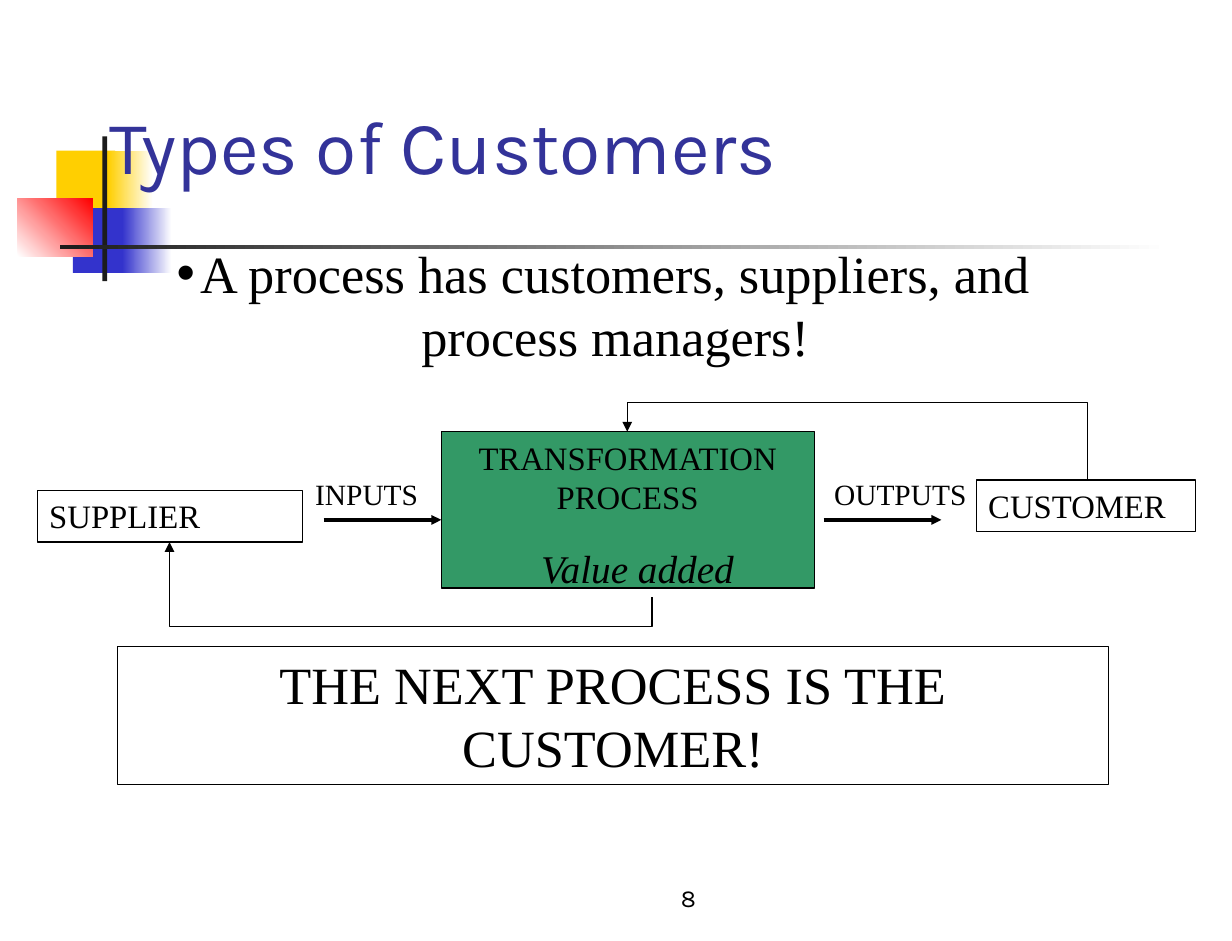
from dataclasses import dataclass

from lxml import etree
from pptx import Presentation
from pptx.dml.color import RGBColor
from pptx.enum.shapes import MSO_CONNECTOR, MSO_SHAPE
from pptx.enum.text import MSO_ANCHOR, MSO_AUTO_SIZE, PP_ALIGN
from pptx.oxml.ns import qn
from pptx.util import Pt

LEFT, CENTER = PP_ALIGN.LEFT, PP_ALIGN.CENTER
TOP, BOTTOM = MSO_ANCHOR.TOP, MSO_ANCHOR.BOTTOM
NO_AUTOFIT = MSO_AUTO_SIZE.NONE
RECTANGLE = MSO_SHAPE.RECTANGLE
STRAIGHT, ELBOW = MSO_CONNECTOR.STRAIGHT, MSO_CONNECTOR.ELBOW
EMU_PER_PX = 9144


@dataclass(frozen=True)
class Theme:
    black: str = "000000"
    white: str = "FFFFFF"
    ink: str = "1C1C1C"
    yellow: str = "FFCF01"
    blue: str = "3333CC"
    red: str = "FF0000"
    title: str = "333399"
    green: str = "339966"
    sans: str = "Karla"
    serif: str = "Times New Roman"
    title_size: int = 46
    statement_size: int = 32
    note_size: int = 24
    box_size: int = 20
    label_size: int = 18
    number_size: int = 15


THEME = Theme()


@dataclass(frozen=True)
class Area:
    left: int
    top: int
    width: int
    height: int

    def emu(self) -> list[int]:
        return [px(side) for side in (self.left, self.top, self.width, self.height)]


@dataclass(frozen=True)
class Ornament:
    area: Area
    start: str
    end: str | None = None
    angle: int = 0


@dataclass(frozen=True)
class ProcessBox:
    text: str
    area: Area
    size: int = THEME.box_size
    align: PP_ALIGN = LEFT
    fill: str | None = None
    line: float = 1


@dataclass(frozen=True)
class Label:
    text: str
    area: Area
    size: int = THEME.label_size
    font: str = THEME.serif
    align: PP_ALIGN = LEFT
    anchor: MSO_ANCHOR = TOP
    italic: bool = False


@dataclass(frozen=True)
class Feedback:
    start: tuple[int, int]
    end: tuple[int, int]
    turn: int


ORNAMENTS = [
    Ornament(Area(48, 128, 50, 55), THEME.yellow),
    Ornament(Area(92, 128, 38, 55), THEME.yellow, THEME.white),
    Ornament(Area(62, 177, 48, 55), THEME.blue),
    Ornament(Area(104, 177, 42, 55), THEME.blue, THEME.white),
    Ornament(Area(15, 169, 64, 49), THEME.white, THEME.red, 45),
    Ornament(Area(87, 116, 4, 123), THEME.ink),
    Ornament(Area(51, 208, 942, 4), THEME.ink, THEME.white),
]
BOXES = [
    ProcessBox("TRANSFORMATION\nPROCESS", Area(375, 367, 317, 133), align=CENTER, fill=THEME.green, line=0.75),
    ProcessBox("SUPPLIER", Area(32, 417, 225, 44)),
    ProcessBox("CUSTOMER", Area(830, 408, 186, 44)),
    ProcessBox("THE NEXT PROCESS IS THE CUSTOMER!", Area(100, 550, 842, 117), THEME.statement_size, CENTER, line=0.75),
]
LABELS = [
    Label("INPUTS", Area(258, 400, 138, 33)),
    Label("OUTPUTS", Area(699, 400, 142, 33)),
    Label("Value added", Area(450, 458, 208, 50), THEME.note_size, italic=True),
    Label("8", Area(419, 728, 332, 53), THEME.number_size, THEME.sans, CENTER, BOTTOM),
]
FLOW_STARTS = [275, 700]
FLOW_LENGTH, FLOW_Y = 100, 442
FEEDBACKS = [
    Feedback((554, 508), (144, 461), 533),
    Feedback((924, 408), (533, 367), 342),
]


def px(length: float) -> int:
    return round(length * EMU_PER_PX)


def color(value: str) -> RGBColor:
    return RGBColor.from_string(value)


def write_text(shape, text: str, *, size: int, font: str = THEME.serif, ink: str = THEME.black,
               align: PP_ALIGN = LEFT, anchor: MSO_ANCHOR = TOP, italic: bool = False,
               bullet: str | None = None, indent: int = 0) -> None:
    frame = shape.text_frame
    frame.text = text
    frame.word_wrap = True
    frame.auto_size = NO_AUTOFIT
    frame.vertical_anchor = anchor
    frame.margin_left = frame.margin_right = px(10)
    frame.margin_top = frame.margin_bottom = px(5)
    for para in frame.paragraphs:
        para.alignment = align
        para.space_before = Pt(0)
        if bullet:
            properties = para._p.get_or_add_pPr()
            properties.set("marL", str(px(indent)))
            properties.set("indent", str(-px(indent)))
            etree.SubElement(properties, qn("a:buChar"), char=bullet)
        for span in para.runs:
            span.font.name = font
            span.font.size = Pt(size)
            span.font.italic = italic
            span.font.color.rgb = color(ink)


def place(shape, area: Area) -> None:
    shape.left, shape.top, shape.width, shape.height = area.emu()


def draw_ornament(page, ornament: Ornament) -> None:
    shape = page.shapes.add_shape(RECTANGLE, *ornament.area.emu())
    shape.shadow.inherit = False
    shape.line.fill.background()
    if ornament.end is None:
        shape.fill.solid()
        shape.fill.fore_color.rgb = color(ornament.start)
        return
    shape.fill.gradient()
    shape.fill.gradient_angle = ornament.angle
    for stop, value in zip(shape.fill.gradient_stops, (ornament.start, ornament.end)):
        stop.color.rgb = color(value)


def draw_box(page, box: ProcessBox) -> None:
    shape = page.shapes.add_shape(RECTANGLE, *box.area.emu())
    shape.shadow.inherit = False
    if box.fill:
        shape.fill.solid()
        shape.fill.fore_color.rgb = color(box.fill)
    else:
        shape.fill.background()
    shape.line.color.rgb = color(THEME.black)
    shape.line.width = Pt(box.line)
    write_text(shape, box.text, size=box.size, align=box.align)


def draw_label(page, label: Label) -> None:
    shape = page.shapes.add_textbox(*label.area.emu())
    write_text(shape, label.text, size=label.size, font=label.font, align=label.align,
               anchor=label.anchor, italic=label.italic)


def draw_arrow(page, kind: MSO_CONNECTOR, start: tuple[float, float], end: tuple[float, float], width: float):
    arrow = page.shapes.add_connector(kind, *map(px, (*start, *end)))
    arrow.line.color.rgb = color(THEME.black)
    arrow.line.width = Pt(width)
    etree.SubElement(arrow.line._get_or_add_ln(), qn("a:tailEnd"), type="triangle")
    etree.SubElement(arrow._element.spPr, qn("a:effectLst"))
    return arrow


def draw_feedback(page, feedback: Feedback) -> None:
    (start_x, start_y), (end_x, end_y) = feedback.start, feedback.end
    center_x, center_y = (start_x + end_x) / 2, (start_y + end_y) / 2
    half_rise, half_run = (start_y - end_y) / 2, (start_x - end_x) / 2
    arrow = draw_arrow(page, ELBOW, (center_x - half_rise, center_y + half_run),
                       (center_x + half_rise, center_y - half_run), 0.75)
    properties = arrow._element.spPr
    properties.find(qn("a:xfrm")).set("rot", str(270 * 60000))
    bend = round((start_y - feedback.turn) / (start_y - end_y) * 100000)
    guides = properties.find(qn("a:prstGeom")).find(qn("a:avLst"))
    etree.SubElement(guides, qn("a:gd"), name="adj1", fmla=f"val {bend}")


def main() -> None:
    deck = Presentation()
    deck.slide_width, deck.slide_height = px(1047), px(800)
    page = deck.slides.add_slide(deck.slide_layouts[1])
    for ornament in ORNAMENTS:
        draw_ornament(page, ornament)

    title, body = page.placeholders
    place(title, Area(83, 33, 890, 133))
    write_text(title, "Types of Customers", size=THEME.title_size, font=THEME.sans, ink=THEME.title, anchor=BOTTOM)
    place(body, Area(92, 200, 842, 117))
    write_text(body, "A process has customers, suppliers, and process managers!",
               size=THEME.statement_size, align=CENTER, bullet="•", indent=20)
    for placeholder in (title, body):
        page.shapes._spTree.append(placeholder._element)

    for box in BOXES:
        draw_box(page, box)
    for start in FLOW_STARTS:
        draw_arrow(page, STRAIGHT, (start, FLOW_Y), (start + FLOW_LENGTH, FLOW_Y), 2)
    for label in LABELS:
        draw_label(page, label)
    for feedback in FEEDBACKS:
        draw_feedback(page, feedback)
    deck.save("out.pptx")


if __name__ == "__main__":
    main()
